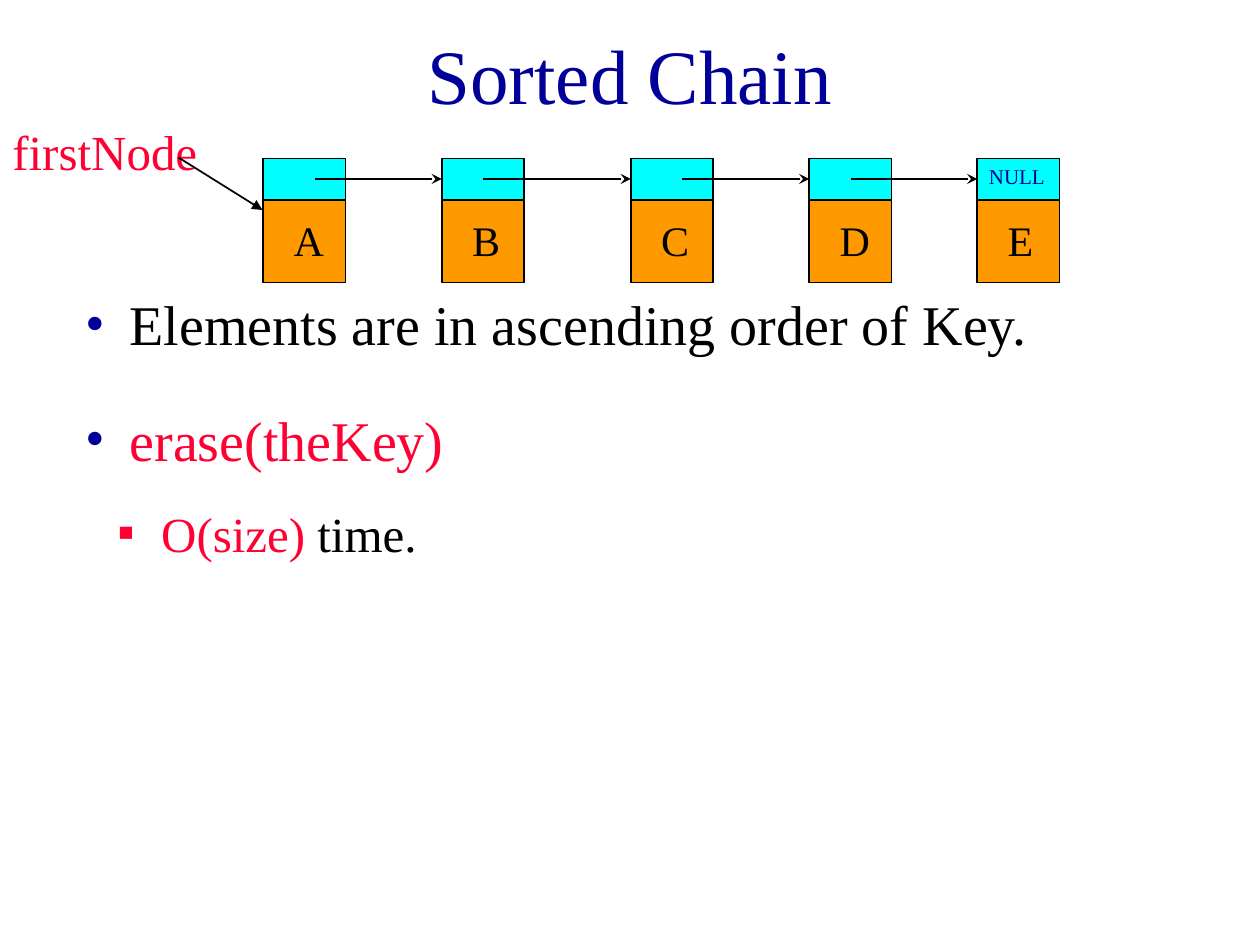
from lxml import etree
from pptx import Presentation
from pptx.dml.color import RGBColor
from pptx.enum.shapes import MSO_CONNECTOR, MSO_SHAPE
from pptx.enum.text import MSO_ANCHOR, PP_ALIGN
from pptx.oxml.ns import qn
from pptx.util import Pt

NAVY = RGBColor(0x00, 0x00, 0x99)
RED = RGBColor(0xFF, 0x00, 0x33)
BLACK = RGBColor(0x00, 0x00, 0x00)
ORANGE = RGBColor(0xFF, 0x99, 0x00)
CYAN = RGBColor(0x00, 0xFF, 0xFF)
FONT = "Times New Roman"

deck = Presentation()
deck.slide_width, deck.slide_height = Pt(720), Pt(540)
page = deck.slides.add_slide(deck.slide_layouts[6])


def add_text(left, top, width, height, text, size, color, wrap=True):
    box = page.shapes.add_textbox(Pt(left), Pt(top), Pt(width), Pt(height))
    box.text_frame.word_wrap = wrap
    paragraph = box.text_frame.paragraphs[0]
    paragraph.text = text
    paragraph.font.name = FONT
    paragraph.font.size = Pt(size)
    paragraph.font.color.rgb = color
    return box


def add_arrow(start, end, head):
    arrow = page.shapes.add_connector(
        MSO_CONNECTOR.STRAIGHT, *[Pt(value) for value in (*start, *end)])
    arrow.line.color.rgb = BLACK
    arrow.line.width = Pt(1)
    etree.SubElement(arrow.line._get_or_add_ln(), qn("a:tailEnd"), type=head)
    etree.SubElement(arrow._element.spPr, qn("a:effectLst"))
    return arrow


title = add_text(54, 12, 612, 60, "Sorted Chain", 44, NAVY)
title.text_frame.vertical_anchor = MSO_ANCHOR.MIDDLE
title.text_frame.paragraphs[0].alignment = PP_ALIGN.CENTER

# Chain nodes: a link field above a data field
node_lefts = {"A": 150.5, "B": 252.5, "C": 360.5, "D": 462.5, "E": 558.5}
link_fields = []
for letter, left in node_lefts.items():
    for top, height, color in ((114.5, 47, ORANGE), (90.5, 23.5, CYAN)):
        field = page.shapes.add_shape(
            MSO_SHAPE.RECTANGLE, Pt(left), Pt(top), Pt(47), Pt(height))
        field.shadow.inherit = False
        field.fill.solid()
        field.fill.fore_color.rgb = color
        field.line.color.rgb = BLACK
        field.line.width = Pt(1)
    link_fields.append(field)
    add_text(left + 10.25, 119, 31, 36, letter, 24, BLACK, wrap=False)

link_y = 102.25
for start_x, target in zip((180, 276, 390, 486), link_fields[1:]):
    link = add_arrow((start_x, link_y), (target.left.pt, link_y), "stealth")
    link.end_connect(target, 1)

add_text(558, 90, 48, 21.5, "NULL", 12, NAVY, wrap=False)
add_text(0, 66, 132, 41, "firstNode", 28, RED)
add_arrow((102, 90), (150, 120), "triangle")

# Bulleted statements: box top, then (bullet, bullet colour, margin, size, runs)
statements = [
    (162, [("•", NAVY, 25, 32,
            [("Elements are in ascending order of Key.", BLACK)])]),
    (228, [("•", NAVY, 25, 32, [("erase(theKey)", RED)]),
           ("▪", RED, 43, 28, [("O(size) ", RED), ("time.", BLACK)])]),
]
for top, lines in statements:
    box = page.shapes.add_textbox(Pt(42), Pt(top), Pt(660), Pt(48 * len(lines)))
    frame = box.text_frame
    frame.word_wrap = True
    for index, (bullet, bullet_color, margin, size, spans) in enumerate(lines):
        paragraph = frame.add_paragraph() if index else frame.paragraphs[0]
        paragraph.level = index
        if index:
            paragraph.space_before = Pt(17.5)
        properties = paragraph._p.get_or_add_pPr()
        properties.set("marL", str(Pt(margin)))
        properties.set("indent", str(Pt(-25)))
        color_element = etree.SubElement(properties, qn("a:buClr"))
        etree.SubElement(color_element, qn("a:srgbClr"), val=str(bullet_color))
        etree.SubElement(properties, qn("a:buFont"), typeface=FONT)
        etree.SubElement(properties, qn("a:buChar"), char=bullet)
        paragraph.font.name = FONT
        paragraph.font.size = Pt(size)
        for text, color in spans:
            span = paragraph.add_run()
            span.text = text
            span.font.color.rgb = color

deck.save("out.pptx")
